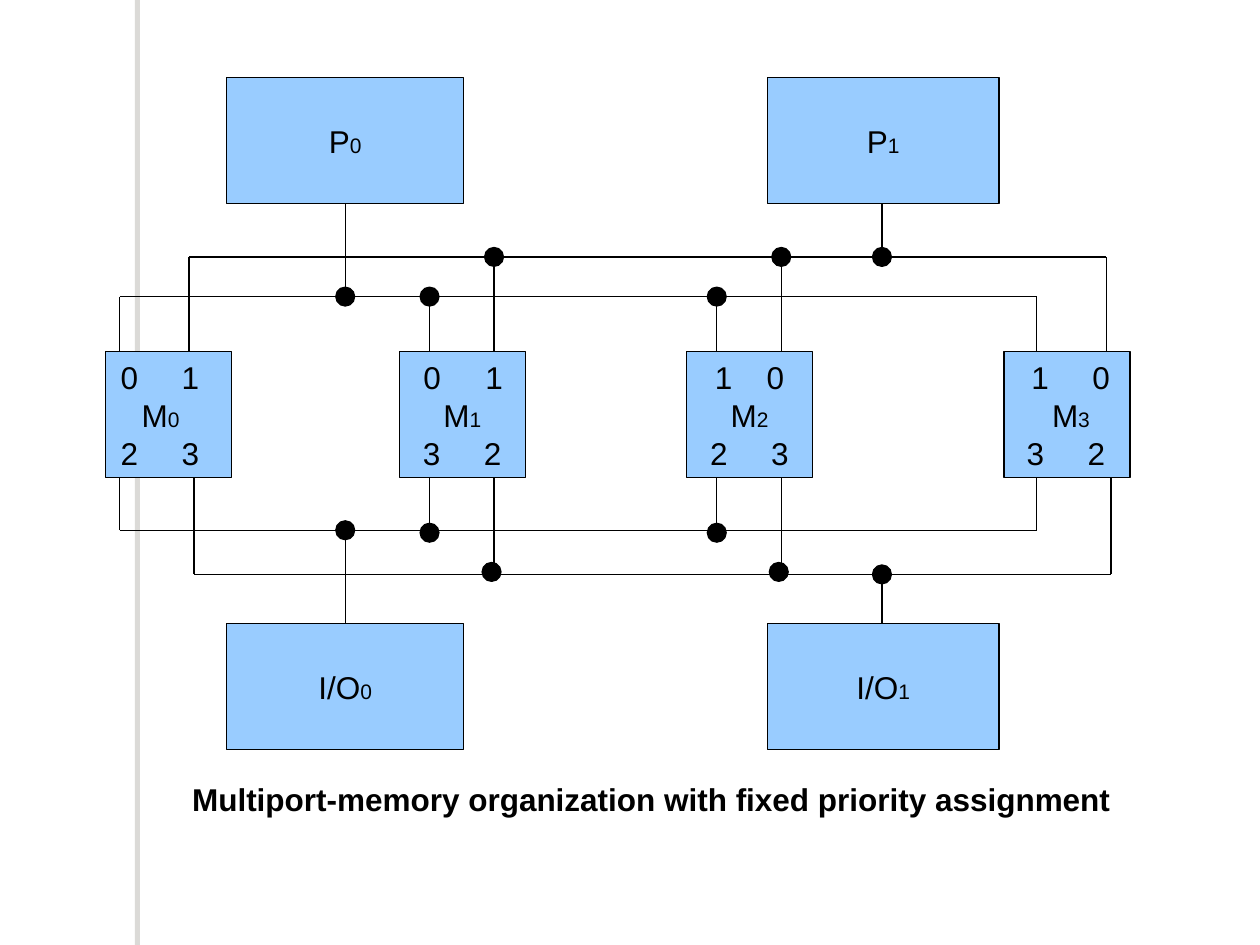
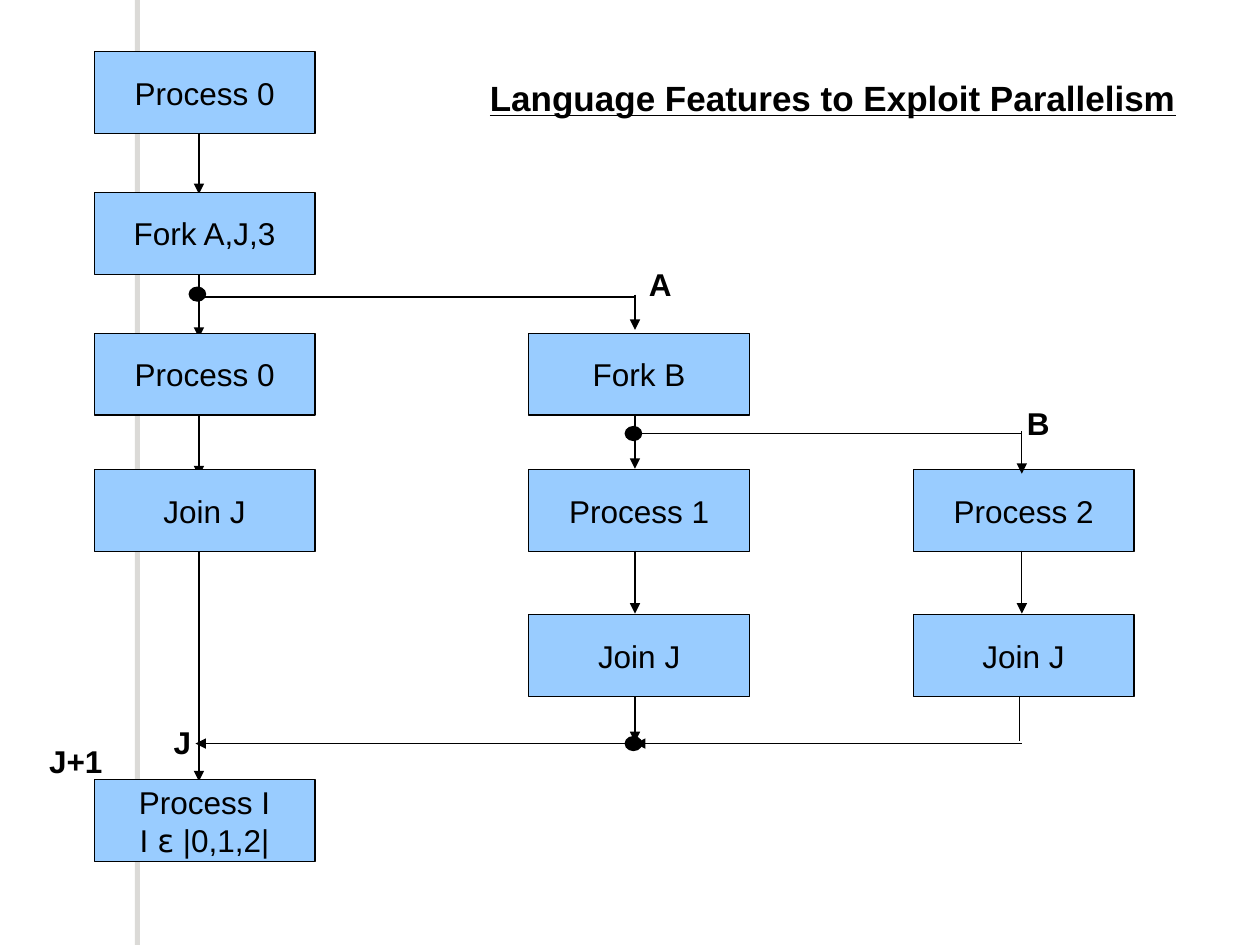
from lxml import etree
from pptx import Presentation
from pptx import util as u
from pptx.dml.color import RGBColor
from pptx.enum import shapes, text
from pptx.oxml.ns import qn

BLACK = RGBColor(0x00, 0x00, 0x00)
BOX_BLUE = RGBColor(0x99, 0xCC, 0xFF)
RULE_GREY = RGBColor(0xDB, 0xDA, 0xD7)

BODY = {"name": "Arial", "size": u.Pt(18)}
INDEX = BODY | {"size": u.Pt(12)}
BOLD = BODY | {"bold": True}
TITLE = BOLD | {"size": u.Pt(20), "underline": True}
SYMBOL = BODY | {"name": "DejaVu Sans"}

CENTER = text.PP_ALIGN.CENTER
LEFT = text.PP_ALIGN.LEFT


def cm(*lengths):
    return [u.Cm(length) for length in lengths]


def write(paragraph, runs, align):
    """Fill a paragraph with (wording, format) runs."""
    paragraph.alignment = align
    for wording, style in runs:
        run = paragraph.add_run()
        run.text = wording
        run.font.color.rgb = BLACK
        for key, value in style.items():
            setattr(run.font, key, value)


def add_block(slide, kind, box, fill, outlined=True):
    block = slide.shapes.add_shape(kind, *cm(*box))
    block.shadow.inherit = False
    block.fill.solid()
    block.fill.fore_color.rgb = fill
    if outlined:
        block.line.color.rgb = BLACK
        block.line.width = u.Pt(0.75)
    else:
        block.line.fill.background()
    return block


def add_node(slide, box, lines, align=CENTER, side_inset=0.25):
    """Blue box whose lines are centred vertically; returns its paragraphs."""
    frame = add_block(slide, shapes.MSO_SHAPE.RECTANGLE, box, BOX_BLUE).text_frame
    layout = {"word_wrap": True, "vertical_anchor": text.MSO_ANCHOR.MIDDLE,
              "margin_left": u.Cm(side_inset), "margin_right": u.Cm(side_inset),
              "margin_top": 0, "margin_bottom": 0}
    for key, value in layout.items():
        setattr(frame, key, value)
    for number, runs in enumerate(lines):
        write(frame.add_paragraph() if number else frame.paragraphs[0], runs, align)
    return frame.paragraphs


def add_dot(slide, x, y, width=0.38, height=0.38):
    box = (x - width / 2, y - height / 2, width, height)
    add_block(slide, shapes.MSO_SHAPE.OVAL, box, BLACK)


def add_wire(slide, x1, y1, x2, y2, arrow=False):
    wire = slide.shapes.add_connector(shapes.MSO_CONNECTOR.STRAIGHT, *cm(x1, y1, x2, y2))
    wire.line.color.rgb = BLACK
    wire.line.width = u.Pt(0.75)
    if arrow:
        etree.SubElement(wire.line._get_or_add_ln(), qn("a:tailEnd"), type="triangle")
    etree.SubElement(wire._element.spPr, qn("a:effectLst"))


def add_label(slide, box, wording, style, align=LEFT):
    frame = slide.shapes.add_textbox(*cm(*box)).text_frame
    frame.word_wrap = True
    write(frame.paragraphs[0], [(wording, style)], align)


def new_slide(prs):
    """Blank slide with the grey vertical rule."""
    slide = prs.slides.add_slide(prs.slide_layouts[6])
    add_block(slide, shapes.MSO_SHAPE.RECTANGLE, (2.72, 0, 0.1, 19.05),
              RULE_GREY, outlined=False)
    return slide


# ---- Multiport memory ----

DEVICE_HEIGHT = MEMORY_SIZE = 2.54
MEMORY_TOP = 5.52
IO_TOP = 11.0
# Device columns: left, width, x of the stem
DEVICE_COLUMNS = [(2.44, 4.78, 4.83), (13.34, 4.67, 15.65)]
# Memories: left, centre of the name, port rows (two port numbers, their centres)
MEMORIES = [
    (0, 1.11, [("0", "1", 0.48, 1.71), ("2", "3", 0.48, 1.71)]),
    (5.92, 1.27, [("0", "1", 0.66, 1.91), ("3", "2", 0.65, 1.88)]),
    (11.71, 1.27, [("1", "0", 0.75, 1.79), ("2", "3", 0.65, 1.88)]),
    (18.11, 1.35, [("1", "0", 0.73, 1.96), ("3", "2", 0.63, 1.86)]),
]
# Buses: device column, height, x of the four ports, shift of the port dots
BUSES = [
    (0, 4.41, (0.28, 6.53, 12.32, 18.77), 0),
    (1, 3.61, (1.68, 7.83, 13.62, 20.17), 0),
    (0, 9.12, (0.28, 6.53, 12.32, 18.77), 0.05),
    (1, 10.01, (1.78, 7.83, 13.62, 20.27), -0.05),
]


def add_memory(slide, left, top, number, name_center, port_rows):
    """Memory box; centred tabs place the port numbers and the name."""
    upper, lower = port_rows
    ports = [[(f"\t{first}\t{second}", BODY)] for first, second, *_ in port_rows]
    lines = [ports[0], [("\tM", BODY), (str(number), INDEX)], ports[1]]
    paragraphs = add_node(slide, (left, top, MEMORY_SIZE, MEMORY_SIZE), lines, LEFT, 0)
    for paragraph, stops in zip(paragraphs, (upper[2:], [name_center], lower[2:])):
        tabs = etree.Element(qn("a:tabLst"))
        for stop in stops:
            etree.SubElement(tabs, qn("a:tab"), pos=str(u.Cm(stop)), algn="ctr")
        paragraph._p.get_or_add_pPr().append(tabs)


def multiport_memory(slide, box):
    left, top, width, height = box
    # Buses with their port wires and stems
    for column, level, ports, shift in BUSES:
        y = top + level
        above = level < MEMORY_TOP
        memory_edge = top + MEMORY_TOP + (0 if above else MEMORY_SIZE)
        device_edge = top + (DEVICE_HEIGHT if above else IO_TOP)
        stem = left + DEVICE_COLUMNS[column][2]
        add_wire(slide, left + ports[0], y, left + ports[-1], y)
        add_wire(slide, stem, device_edge, stem, y)
        for port in ports:
            add_wire(slide, left + port, memory_edge, left + port, y)
        add_dot(slide, stem, y)
        for port in ports[1:-1]:
            add_dot(slide, left + port + min(shift, 0), y + shift)
    # Processors and I/O devices
    for name, device_top in (("P", 0), ("I/O", IO_TOP)):
        for number, (x, device_width, _) in enumerate(DEVICE_COLUMNS):
            add_node(slide, (left + x, top + device_top, device_width, DEVICE_HEIGHT),
                     [[(name, BODY), (str(number), INDEX)]])
    # Memories
    for number, (x, name_center, port_rows) in enumerate(MEMORIES):
        add_memory(slide, left + x, top + MEMORY_TOP, number, name_center, port_rows)
    # Caption, centred below the diagram
    add_label(slide, (left - 1.06, top + height + 0.49, width + 3.48, 1.02),
              "Multiport-memory organization with fixed priority assignment", BOLD, CENTER)


# ---- Fork and join ----

NODE_WIDTH, NODE_HEIGHT = 4.45, 1.65
COLUMNS = (0, 8.76, 16.51)
ROWS = (0, 2.84, 5.68, 8.43, 11.35, 14.68)
MAIN, FORK_A, FORK_B = 2.11, 10.9, 18.7  # x of the three flows
SPLIT_A, SPLIT_B, MERGE = 4.95, 7.7, 13.95  # heights of the branches

STEPS = [  # column, row, wording
    (0, 0, "Process 0"), (0, 1, "Fork A,J,3"), (0, 2, "Process 0"), (0, 3, "Join J"),
    (1, 2, "Fork B"), (1, 3, "Process 1"), (1, 4, "Join J"),
    (2, 3, "Process 2"), (2, 4, "Join J"),
]
FLOWS = [  # x, from, to: downward arrows that end behind the boxes
    (MAIN, 1.6, 2.87), (MAIN, 4.5, 5.77), (MAIN, 7.29, 8.56), (MAIN, 9.6, 14.71),
    (FORK_A, 7.14, 8.41), (FORK_A, 12.65, 13.92),
]
FRONT_FLOWS = [  # downward arrows drawn over the boxes
    (FORK_A, 4.9, 5.61), (FORK_A, 10.06, 11.33),
    (FORK_B, 7.65, 8.51), (FORK_B, 10.06, 11.33),
]
BRANCHES = [  # from x, to x, height, arrow
    (MAIN, FORK_A, SPLIT_A, False), (FORK_A, FORK_B, SPLIT_B, False),
    (FORK_A, 2.04, MERGE, True), (FORK_B, FORK_A, MERGE, True),
]
TAGS = [  # wording, left, top, width
    ("A", 10.93, 4.17, 1.27), ("B", 18.55, 6.99, 1.27),
    ("J", 1.35, 13.41, 1.27), ("J+1", -1.16, 13.79, 1.88),
]


def fork_join(slide, box):
    left, top, width, height = box

    def flow(x, start, end, arrow=True):
        add_wire(slide, left + x, top + start, left + x, top + end, arrow)

    def step(column, row, lines):
        add_node(slide, (left + COLUMNS[column], top + ROWS[row],
                         NODE_WIDTH, NODE_HEIGHT), lines)

    # Arrows behind the steps
    for arrow in FLOWS:
        flow(*arrow)
    flow(FORK_B - 0.05, 12.63, 13.9, arrow=False)
    # Steps
    for column, row, wording in STEPS:
        step(column, row, [[(wording, BODY)]])
    step(0, 5, [[("Process I", BODY)],
                [("I ", BODY), ("ɛ", SYMBOL), (" |0,1,2|", BODY)]])
    # Arrows and branches in front
    for arrow in FRONT_FLOWS:
        flow(*arrow)
    for start, end, level, arrow in BRANCHES:
        add_wire(slide, left + start, top + level, left + end, top + level, arrow)
    # Split and merge points
    for x, y in ((MAIN, SPLIT_A - 0.06), (FORK_A, SPLIT_B), (FORK_A, MERGE)):
        add_dot(slide, left + x - 0.03, top + y, 0.33, 0.28)
    # Branch labels
    for wording, x, y, tag_width in TAGS:
        add_label(slide, (left + x, top + y, tag_width, 1.02), wording, BOLD)
    # Title to the right of the first step
    add_label(slide, (left + 6.74, top + 0.38, width - 4.66, 1.02),
              "Language Features to Exploit Parallelism", TITLE, CENTER)


def main():
    prs = Presentation()
    prs.slide_width, prs.slide_height = cm(25.4, 19.05)
    multiport_memory(new_slide(prs), (2.13, 1.57, 20.65, 13.54))
    fork_join(new_slide(prs), (1.9, 1.04, 20.96, 16.33))
    prs.save("out.pptx")


if __name__ == "__main__":
    main()
